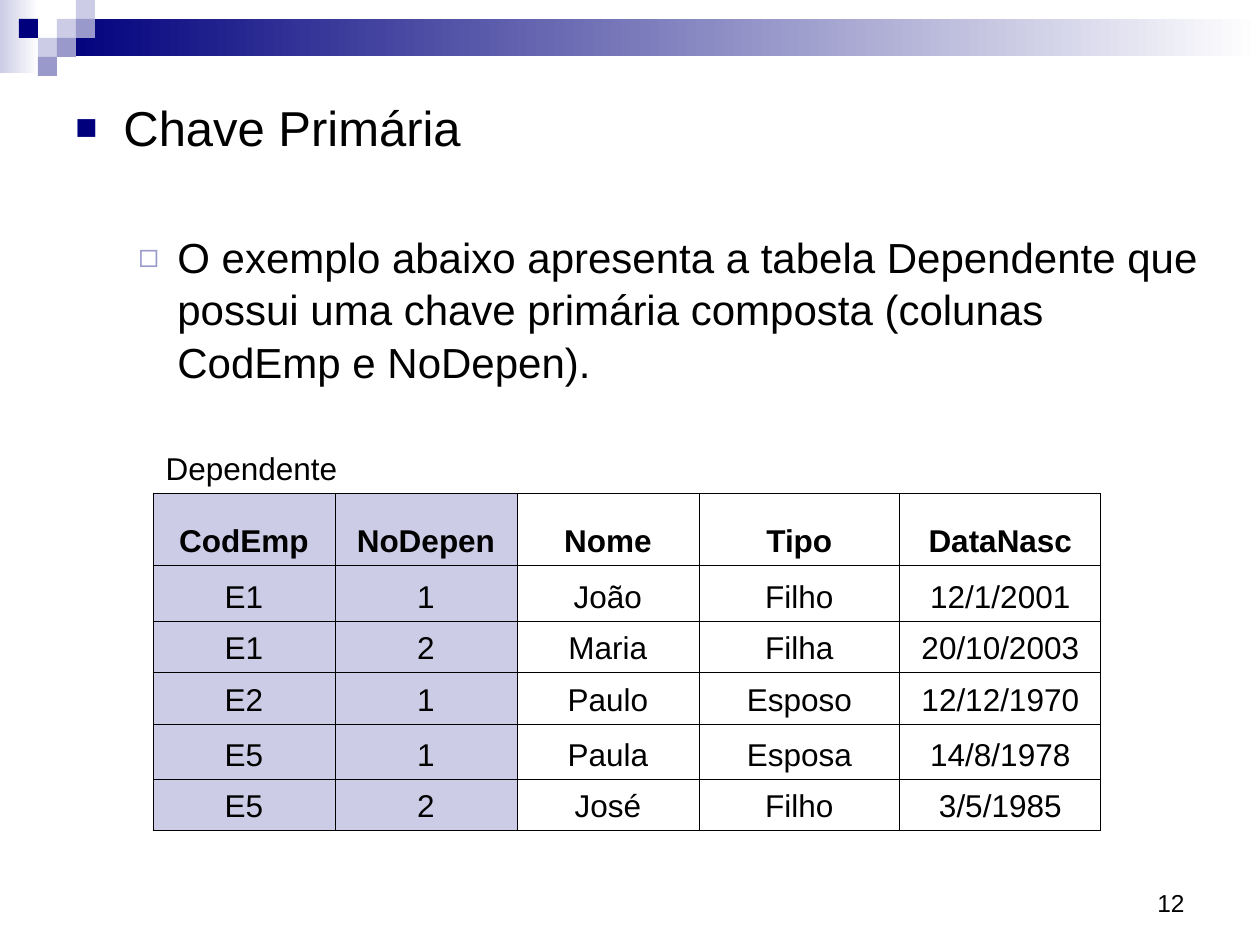
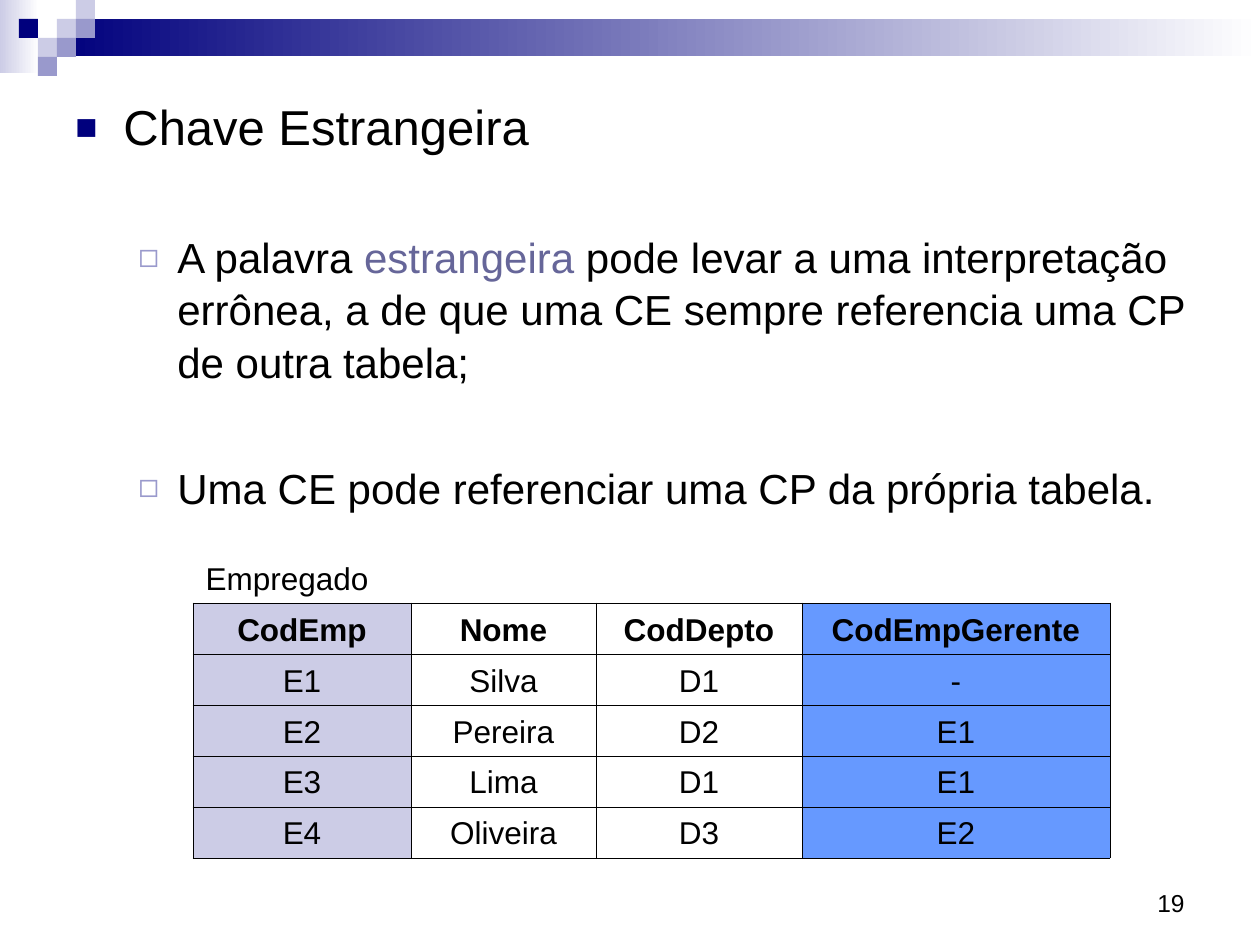
from lxml.etree import SubElement
from pptx import Presentation
from pptx.dml.color import RGBColor
from pptx.enum.shapes import MSO_SHAPE as Shape
from pptx.enum.text import MSO_ANCHOR as Anchor, PP_ALIGN as Align
from pptx.oxml.ns import qn
from pptx.util import Pt

EMU_PER_PX = 914400 / 126
FONT = "Arial"
COLORS = {
    "text": "000000",
    "navy": "00007D",
    "lilac": "9999CC",
    "pale": "CCCCE6",
    "white": "FFFFFF",
    "accent": "666699",
    "foreign": "6699FF",
}
GRID = 19
SQUARES = [
    (3, 1, "pale"), (4, 0, "pale"), (4, 1, "lilac"), (2, 2, "pale"),
    (1, 1, "navy"), (3, 2, "lilac"), (2, 3, "lilac"),
]
TOPIC = {"char": "■", "color": "navy", "percent": 75, "margin": 48, "hang": 48}
DETAIL = {"char": "◻", "color": "lilac", "percent": 80, "margin": 102, "hang": 39}
BORDER_SIDES = ("L", "R", "T", "B")


def px(length):
    return round(length * EMU_PER_PX)


def rgb(name):
    return RGBColor.from_string(COLORS[name])


def add_bullet(paragraph, bullet):
    props = paragraph._p.get_or_add_pPr()
    props.set("marL", str(px(bullet["margin"])))
    props.set("indent", str(-px(bullet["hang"])))
    color = SubElement(props, qn("a:buClr"))
    SubElement(color, qn("a:srgbClr"), val=COLORS[bullet["color"]])
    SubElement(props, qn("a:buSzPct"), val=str(bullet["percent"] * 1000))
    SubElement(props, qn("a:buFont"), typeface=FONT)
    SubElement(props, qn("a:buChar"), char=bullet["char"])


def write(paragraph, text, size=18, bold=False, color="text", align=Align.LEFT,
          before=0, spacing=None, bullet=None):
    paragraph.alignment = align
    paragraph.space_before = Pt(before)
    if spacing:
        paragraph.line_spacing = spacing
    if bullet:
        add_bullet(paragraph, bullet)
    pieces = [(text, color)] if isinstance(text, str) else text
    for words, tint in pieces:
        run = paragraph.add_run()
        run.text = words
        run.font.name = FONT
        run.font.size = Pt(size)
        run.font.bold = bold
        run.font.color.rgb = rgb(tint)


def add_block(slide, box, *colors):
    block = slide.shapes.add_shape(Shape.RECTANGLE, *map(px, box))
    block.shadow.inherit = False
    block.line.fill.background()
    if len(colors) == 1:
        block.fill.solid()
        block.fill.fore_color.rgb = rgb(colors[0])
    else:
        block.fill.gradient()
        block.fill.gradient_angle = 0
        for stop, color, position in zip(block.fill.gradient_stops, colors, (0, 1)):
            stop.color.rgb = rgb(color)
            stop.position = position


def add_header_band(slide, box):
    left, top, width, height = box
    start = 3 * GRID
    add_block(slide, (left, top, 39, height), "pale", "white")
    add_block(slide, (left + start, top + GRID, width - start, 2 * GRID - 1),
              "navy", "white")
    for column, row, color in SQUARES:
        add_block(slide, (left + column * GRID, top + row * GRID, GRID, GRID), color)


def add_frame(slide, box, anchor, inset_top=6):
    frame = slide.shapes.add_textbox(*map(px, box)).text_frame
    frame.word_wrap = True
    frame.vertical_anchor = anchor
    frame.margin_top = px(inset_top)
    return frame


def add_page_number(slide, box, number):
    frame = add_frame(slide, box, Anchor.BOTTOM)
    write(frame.paragraphs[0], str(number), size=14, align=Align.RIGHT)


def add_body(slide, box, topic, details):
    frame = add_frame(slide, box, Anchor.TOP, inset_top=11)
    write(frame.paragraphs[0], topic, size=28, bullet=TOPIC)
    for detail in details:
        write(frame.add_paragraph(), detail, size=24, before=42, spacing=1.04,
              bullet=DETAIL)


def set_borders(cell, visible):
    props = cell._tc.get_or_add_tcPr()
    for side in BORDER_SIDES:
        line = SubElement(props, qn(f"a:ln{side}"), w=str(Pt(0.45)))
        if side in visible:
            fill = SubElement(line, qn("a:solidFill"))
            SubElement(fill, qn("a:srgbClr"), val=COLORS["text"])
        else:
            SubElement(line, qn("a:noFill"))


def add_relation(slide, origin, caption, caption_span, widths, heights, rows, key_fills):
    box = (*origin, sum(widths), sum(heights))
    table = slide.shapes.add_table(len(heights), len(widths), *map(px, box)).table
    table.first_row = table.horz_banding = False
    for column, width in zip(table.columns, widths):
        column.width = px(width)
    for row, height in zip(table.rows, heights):
        row.height = px(height)
    table.cell(0, 0).merge(table.cell(0, caption_span - 1))

    for r in range(len(heights)):
        for c in range(len(widths)):
            cell = table.cell(r, c)
            cell.vertical_anchor = Anchor.BOTTOM
            set_borders(cell, BORDER_SIDES if r else "B")
            if r and c in key_fills:
                cell.fill.solid()
                cell.fill.fore_color.rgb = rgb(key_fills[c])
            else:
                cell.fill.background()
            if r:
                write(cell.text_frame.paragraphs[0], rows[r - 1][c],
                      bold=r == 1, align=Align.CENTER)
    write(table.cell(0, 0).text_frame.paragraphs[0], caption)


def add_key_slide(deck, number, topic, details, body_height, relation):
    slide = deck.slides.add_slide(deck.slide_layouts[6])
    add_header_band(slide, (0, 0, 1260, 73))
    add_page_number(slide, (903, 861, 294, 63), number)
    add_body(slide, (63, 86, 1163, body_height), topic, details)
    add_relation(slide, **relation)


DEPENDENTE = {
    "origin": (153, 443),
    "caption": "Dependente",
    "caption_span": 3,
    "widths": [182, 182, 182, 201, 201],
    "heights": [50, 72, 56, 51, 52, 55, 51],
    "rows": [
        ("CodEmp", "NoDepen", "Nome", "Tipo", "DataNasc"),
        ("E1", "1", "João", "Filho", "12/1/2001"),
        ("E1", "2", "Maria", "Filha", "20/10/2003"),
        ("E2", "1", "Paulo", "Esposo", "12/12/1970"),
        ("E5", "1", "Paula", "Esposa", "14/8/1978"),
        ("E5", "2", "José", "Filho", "3/5/1985"),
    ],
    "key_fills": {0: "pale", 1: "pale"},
}
EMPREGADO = {
    "origin": (193, 552),
    "caption": "Empregado",
    "caption_span": 2,
    "widths": [218, 185, 206, 308],
    "heights": [51] * 6,
    "rows": [
        ("CodEmp", "Nome", "CodDepto", "CodEmpGerente"),
        ("E1", "Silva", "D1", "-"),
        ("E2", "Pereira", "D2", "E1"),
        ("E3", "Lima", "D1", "E1"),
        ("E4", "Oliveira", "D3", "E2"),
    ],
    "key_fills": {0: "pale", 3: "foreign"},
}


def main():
    deck = Presentation()
    deck.slide_width, deck.slide_height = px(1260), px(945)
    add_key_slide(deck, 12, "Chave Primária", [
        "O exemplo abaixo apresenta a tabela Dependente que possui uma chave "
        "primária composta (colunas CodEmp e NoDepen).",
    ], 307, DEPENDENTE)
    add_key_slide(deck, 19, "Chave Estrangeira", [
        [
            ("A palavra ", "text"),
            ("estrangeira ", "accent"),
            ("pode levar a uma interpretação errônea, a de que uma CE sempre "
             "referencia uma CP de outra tabela;", "text"),
        ],
        "Uma CE pode referenciar uma CP da própria tabela.",
    ], 451, EMPREGADO)
    deck.save("out.pptx")


if __name__ == "__main__":
    main()
